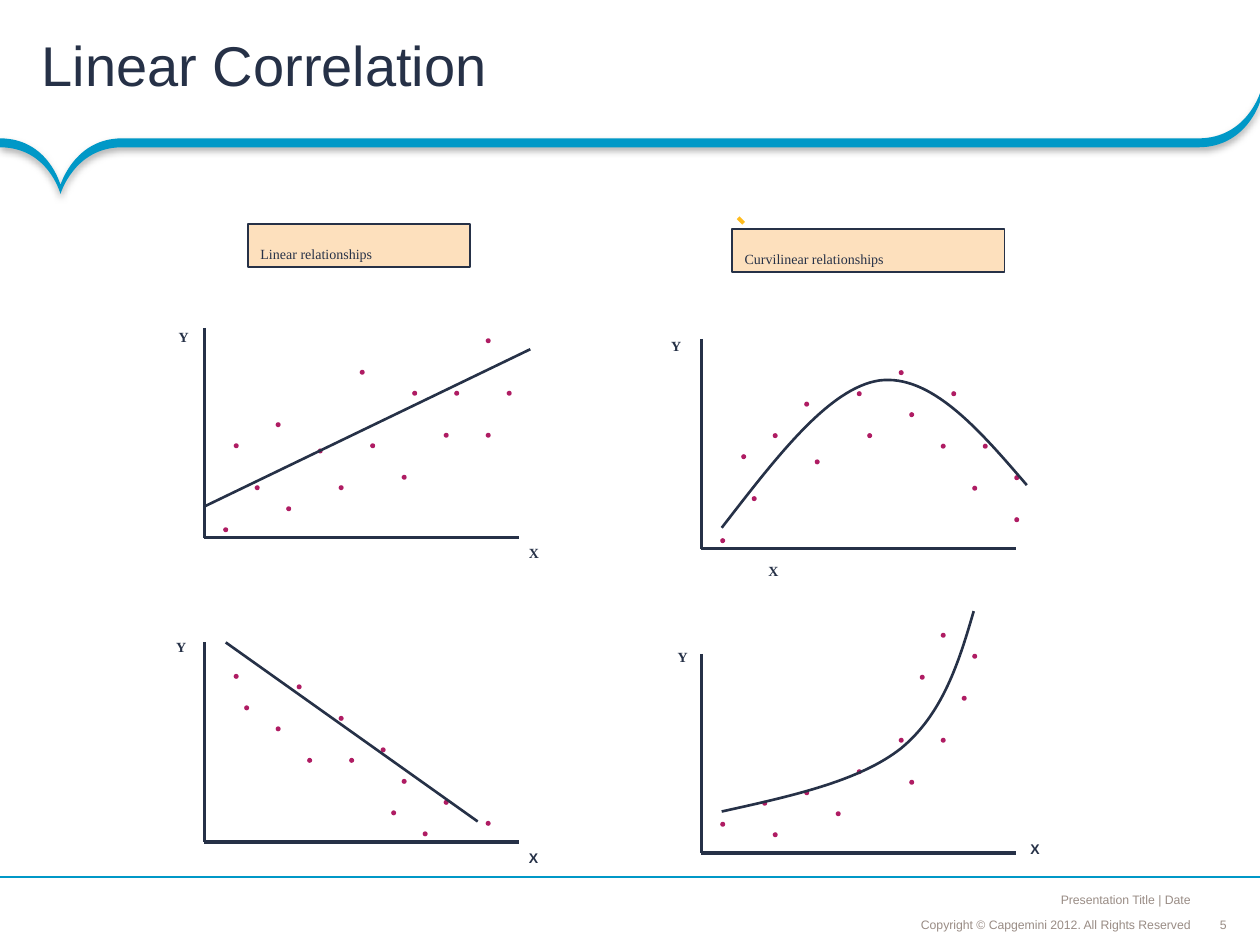
from lxml.etree import SubElement
from pptx import Presentation
from pptx.dml.color import RGBColor
from pptx.enum.shapes import MSO_CONNECTOR, MSO_SHAPE
from pptx.enum.text import MSO_ANCHOR, PP_ALIGN
from pptx.oxml.ns import qn
from pptx.util import Cm, Pt

NAVY = RGBColor(0x26, 0x31, 0x47)
BLUE = RGBColor(0x00, 0x98, 0xC7)
PINK = RGBColor(0xAF, 0x1C, 0x63)
PEACH = RGBColor(0xFD, 0xE0, 0xBD)
GOLD = RGBColor(0xFF, 0xBC, 0x1D)
GREY = RGBColor(0x99, 0x8C, 0x85)
SERIF, SANS = "Times New Roman", "Arial"

# Content, lengths in cm; dots count grid steps right and up from the origin
PLOTS = [
    {"origin": (4.12, 10.84), "high": 4.23,
     "y": (3.35, 6.2), "x": (10.41, 10.54), "font": SERIF,
     "trend": [(4.12, 10.21), (10.69, 7.04)],
     "dots": [(0, 0), (3, 4), (25, 18), (27, 13), (6, 2), (22, 13), (17, 5),
              (18, 13), (13, 15), (1, 8), (5, 10), (9, 7.5), (21, 9),
              (14, 8), (11, 4), (25, 9)]},
    {"origin": (14.14, 11.06), "high": 4.23,
     "y": (13.28, 6.38), "x": (15.24, 10.9), "font": SERIF,
     "trend": [(14.55, 10.64), (15.65, 9.22), (16.71, 7.82), (17.73, 7.67),
               (18.77, 7.54), (19.74, 8.66), (20.7, 9.78)],
     "dots": [(0, 0), (3, 4), (28, 6), (22, 14), (8, 13), (28, 2), (24, 5),
              (18, 12), (13, 14), (2, 8), (5, 10), (9, 7.5), (21, 9),
              (14, 10), (17, 16), (25, 9)]},
    {"origin": (4.12, 16.97), "high": 4.02,
     "y": (3.3, 12.45), "x": (10.41, 16.69), "font": SANS,
     "trend": [(4.55, 12.95), (9.63, 16.56)],
     "dots": [(19, 0), (2, 12), (25, 1), (7, 14), (17, 5), (21, 3), (11, 11),
              (1, 15), (5, 10), (8, 7), (16, 2), (15, 8), (12, 7)]},
    {"origin": (14.14, 17.2), "high": 4.02,
     "y": (13.41, 12.65), "x": (20.52, 16.51), "font": SANS,
     "trend": [(14.55, 16.36), (15.95, 16.05), (17.32, 15.75), (18.16, 15.09),
               (19, 14.4), (19.33, 13.36), (19.63, 12.32)],
     "dots": [(0, 2), (4, 4), (24, 18), (23, 14), (5, 1), (19, 16), (18, 6),
              (17, 10), (21, 20), (8, 5), (21, 10), (13, 7), (11, 3)]},
]
HEADS = [("Linear relationships", (5, 4.52, 4.47, 0.86)),
         ("Curvilinear relationships", (14.76, 4.62, 5.49, 0.86))]
SWOOSH = [(24.16, 2.79), (2.46, 2.79), (2.46, 2.79), (2.46, 2.79),
          (1.5, 2.79), (1.22, 3.73), (1.22, 3.73),
          (1.22, 3.73), (0.97, 2.79), (0, 2.79),
          (0, 2.97), (0, 2.97), (0, 2.97),
          (0.97, 2.97), (1.22, 3.91), (1.22, 3.91),
          (1.22, 3.91), (1.5, 2.97), (2.46, 2.97),
          (24.16, 2.97), (24.16, 2.97), (24.16, 2.97),
          (25.12, 2.97), (25.4, 2.06), (25.4, 2.06),
          (25.4, 1.88), (25.4, 1.88), (25.4, 1.88),
          (25.4, 1.88), (25.12, 2.79), (24.16, 2.79)]
WIDE, STEP, DOT = 6.35, 2.54 / 12, 0.1

deck = Presentation()
deck.slide_width, deck.slide_height = Cm(25.4), Cm(19.05)
shapes = deck.slides.add_slide(deck.slide_layouts[6]).shapes


def write(text, box, size=8, font=SERIF, color=NAVY, bold=False,
          align=PP_ALIGN.LEFT, anchor=MSO_ANCHOR.BOTTOM,
          pad=(0.25, 0.1, 0.25, 0.09), space=None, fill=None):
    area = [Cm(v) for v in box]
    if fill is None:
        shape = shapes.add_textbox(*area)
    else:
        shape = shapes.add_shape(MSO_SHAPE.RECTANGLE, *area)
        shape.shadow.inherit = False
        shape.fill.solid()
        shape.fill.fore_color.rgb = fill
        shape.line.color.rgb, shape.line.width = NAVY, Pt(1)
    frame = shape.text_frame
    frame.word_wrap, frame.vertical_anchor = True, anchor
    (frame.margin_left, frame.margin_top,
     frame.margin_right, frame.margin_bottom) = [Cm(v) for v in pad]
    par = frame.paragraphs[0]
    par.alignment, par.line_spacing = align, space
    run = par.add_run()
    run.text = text
    run.font.size, run.font.name, run.font.bold = Pt(size), font, bold
    run.font.color.rgb = color


def rule(start, end, color=NAVY, width=2):
    line = shapes.add_connector(MSO_CONNECTOR.STRAIGHT,
                                *[Cm(v) for v in (*start, *end)])
    line.line.color.rgb, line.line.width = color, Pt(width)
    SubElement(line._element.spPr, qn("a:effectLst"))


def curve(points, close=False):
    """Draw a start point followed by cubic segments of three points each."""
    spots = [(Cm(x), Cm(y)) for x, y in points]
    pen = shapes.build_freeform(*spots[0])
    pen.add_line_segments(spots[1:], close=close)
    shape = pen.convert_to_shape()
    shape.shadow.inherit = False
    legs = list(shape._element.iter(qn("a:lnTo")))[:len(points) - 1]
    for i in range(0, len(legs), 3):
        bend = legs[i].makeelement(qn("a:cubicBezTo"))
        legs[i].addprevious(bend)
        for leg in legs[i:i + 3]:
            bend.append(leg[0])
            leg.getparent().remove(leg)
    return shape


# Header band with its soft shadow
band = curve(SWOOSH, close=True)
band.fill.solid()
band.fill.fore_color.rgb = BLUE
band.line.fill.background()
glow = SubElement(band._element.spPr.find(qn("a:effectLst")),
                  qn("a:outerShdw"), blurRad=str(Pt(4)), dist=str(Pt(2)),
                  dir="5400000", algn="t", rotWithShape="0")
tint = SubElement(glow, qn("a:srgbClr"), val="000000")
SubElement(tint, qn("a:alpha"), val="31000")

# Footer
foot = {"size": 7, "font": SANS, "color": GREY}
slim = {"align": PP_ALIGN.RIGHT, "pad": (0.1, 0.1, 0.1, 0.1)}
rule((25.4, 17.68), (0, 17.68), BLUE, 0.75)
write("Presentation Title | Date", (19.2, 17.86, 4.9, 0.53), **foot, **slim)
write("Copyright © Capgemini 2012. All Rights Reserved",
      (17.3, 18.39, 6.8, 0.51), space=0.9, **foot, **slim)
write("5", (24.51, 18.49, 0.3, 0.3), align=PP_ALIGN.CENTER,
      anchor=MSO_ANCHOR.MIDDLE, pad=(0, 0, 0, 0), **foot)

# Scatter plots
for plot in PLOTS:
    left, base = plot["origin"]
    rule((left, base - plot["high"]), (left, base))
    rule((left, base), (left + WIDE, base))
    for right, up in plot["dots"]:
        dot = shapes.add_shape(MSO_SHAPE.OVAL,
                               Cm(left + 0.38 + right * STEP),
                               Cm(base - 0.21 - up * STEP), Cm(DOT), Cm(DOT))
        dot.shadow.inherit = False
        dot.fill.solid()
        dot.fill.fore_color.rgb = PINK
        dot.line.fill.background()
    if len(plot["trend"]) == 2:
        rule(*plot["trend"], width=1.5)
    else:
        trend = curve(plot["trend"])
        trend.fill.background()
        trend.line.color.rgb, trend.line.width = NAVY, Pt(1.5)
    write("Y", (*plot["y"], 0.86, 0.86), bold=True)
    write("X", (*plot["x"], 0.86, 0.86), bold=True, font=plot["font"])

# Column headings and gold tick
for text, box in HEADS:
    write(text, box, fill=PEACH)
rule((14.88, 4.39), (14.99, 4.5), GOLD, 2.25)

# Title
write("Linear Correlation", (0, 0, 25.4, 2.79), size=32, font=SANS,
      anchor=MSO_ANCHOR.MIDDLE, pad=(0.84, 0.1, 0.46, 0.1), space=0.85)

deck.save("out.pptx")
